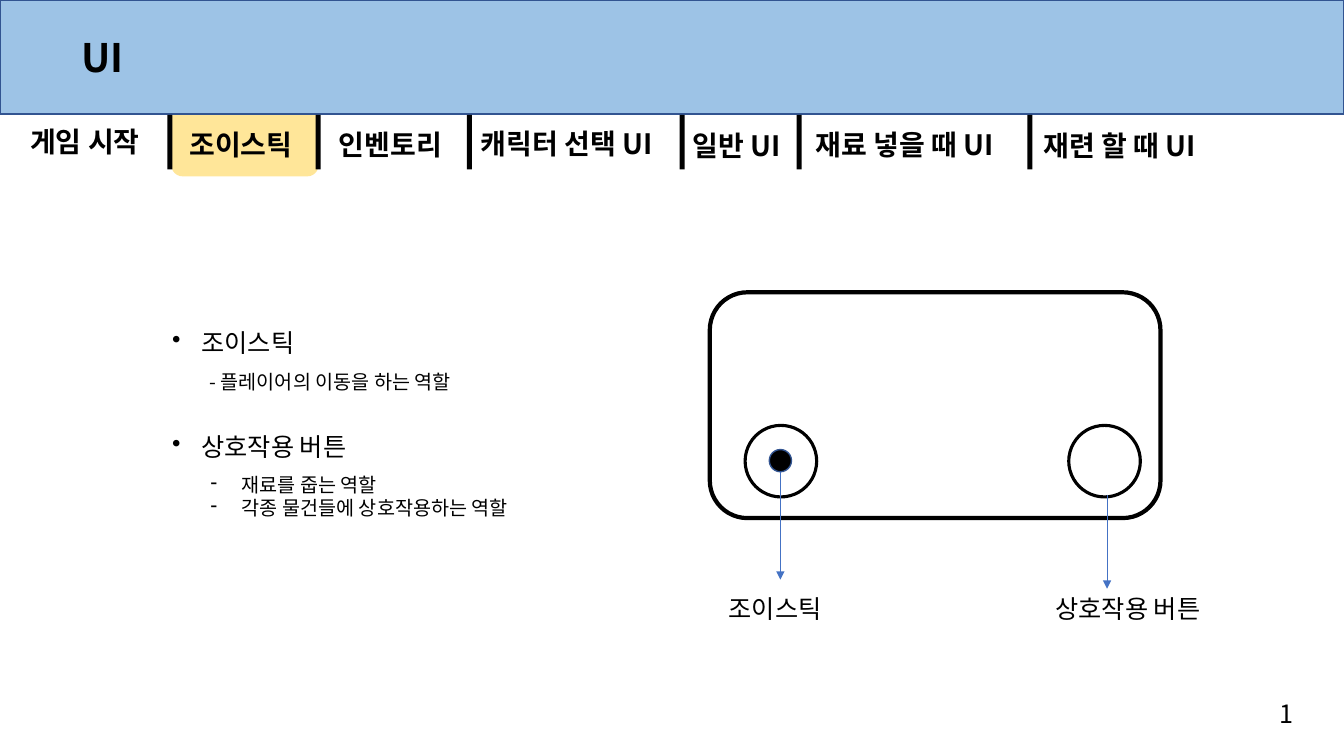
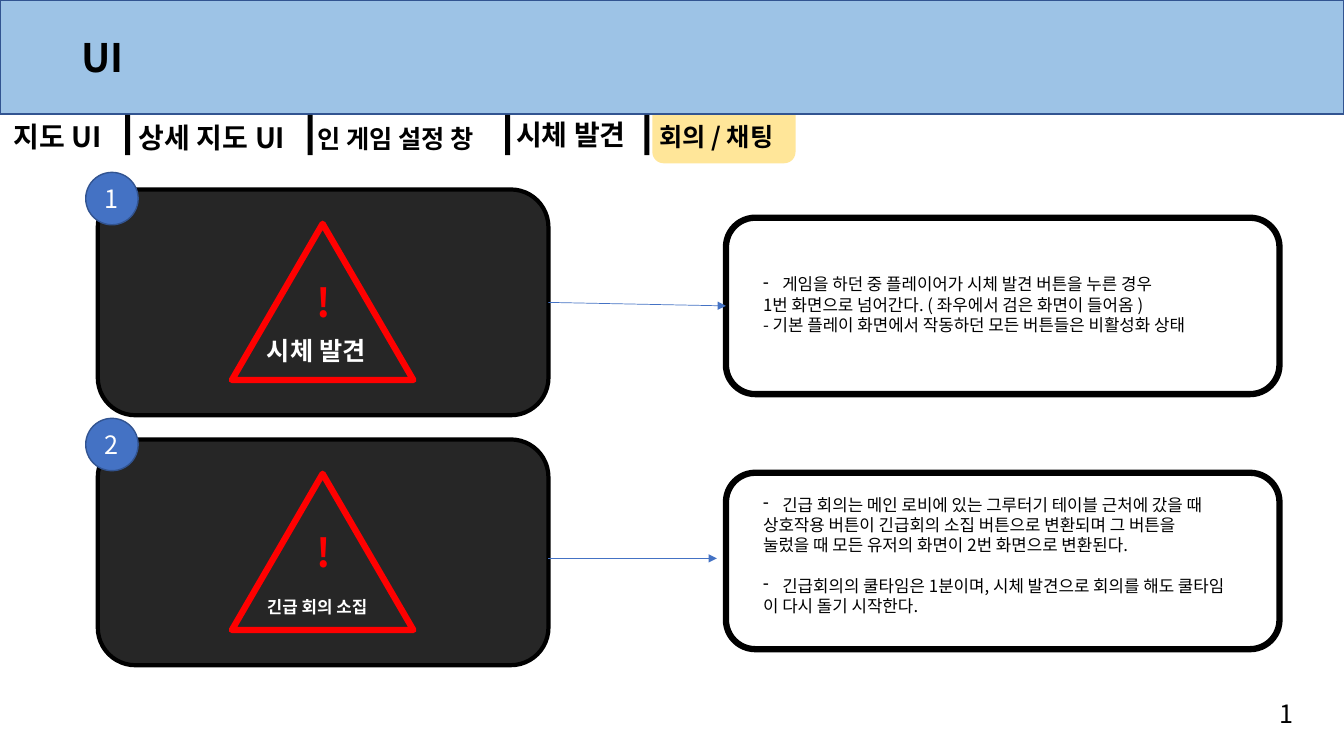
from lxml.etree import SubElement
from pptx import Presentation
from pptx.dml.color import RGBColor
from pptx.enum.shapes import MSO_CONNECTOR, MSO_SHAPE as Preset
from pptx.enum.text import MSO_ANCHOR, MSO_AUTO_SIZE, PP_ALIGN
from pptx.oxml.ns import qn
from pptx.util import Inches, Pt

FONT = "Noto Sans CJK KR"
BLACK = RGBColor(0x00, 0x00, 0x00)
WHITE = RGBColor(0xFF, 0xFF, 0xFF)
SKY = RGBColor(0x9D, 0xC3, 0xE6)
NAVY = RGBColor(0x32, 0x54, 0x91)
BLUE = RGBColor(0x44, 0x72, 0xC4)
YELLOW = RGBColor(0xFF, 0xE6, 0x99)
CHARCOAL = RGBColor(0x26, 0x26, 0x26)
RED = RGBColor(0xFF, 0x00, 0x00)

SLIDE_W, SLIDE_H, BAND_H = 13.33, 7.5, 1.13
DIVIDER_TOP, DIVIDER_W = 1.14, 0.05
SCREEN_W, SCREEN_H = 4.47, 2.24

CONTROL_MENU = {
    "tabs": [
        ("게임 시작", 0.2, 1.19, 1.42, 20, False),
        ("조이스틱", 1.78, 1.22, 1.33, 20, True),
        ("인벤토리", 3.26, 1.22, 1.32, 20, False),
        ("캐릭터 선택 UI", 4.67, 1.21, 2.09, 20, False),
        ("일반 UI", 6.77, 1.23, 1.15, 20, False),
        ("재료 넣을 때 UI", 7.99, 1.22, 2.19, 20, False),
        ("재련 할 때 UI", 10.25, 1.23, 1.91, 20, False),
    ],
    "dividers": [1.66, 3.13, 4.63, 6.74, 7.9, 10.19],
    "divider_h": 0.54,
    "highlight": (1.7, 1.08, 1.46, 0.67),
}
MEETING_MENU = {
    "tabs": [
        ("지도 UI", 0.04, 1.14, 1.15, 20, False),
        ("상세 지도 UI", 1.28, 1.15, 1.81, 20, False),
        ("인 게임 설정 창", 3.05, 1.17, 1.97, 18, True),
        ("시체 발견", 5.02, 1.12, 1.42, 20, False),
        ("회의 / 채팅", 6.44, 1.15, 1.6, 18, True),
    ],
    "dividers": [1.24, 3.05, 5.01, 6.39],
    "divider_h": 0.4,
    "highlight": (6.47, 0.95, 1.42, 0.67),
}

HEADINGS = [("조이스틱", 3.2, 1.5), ("상호작용 버튼", 4.23, 2.1)]
MOVE_ROLE = "- 플레이어의 이동을 하는 역할"
BUTTON_ROLES = ["재료를 줍는 역할", "각종 물건들에 상호작용하는 역할"]
CONTROL_LEFTS = [7.39, 10.6]
CALLOUTS = [
    ("조이스틱", 7.13, 1.21, 7.74, 4.68, 5.75),
    ("상호작용 버튼", 10.37, 1.81, 10.98, 4.91, 5.84),
]

BULLET, PLAIN, SPACED = "bullet", "plain", "spaced"
MEETINGS = [
    {
        "number": "1", "alert": "시체 발견", "alert_at": (3.28, 1.3, 18),
        "tops": {"screen": 1.88, "badge": 1.71, "note": 2.16, "text": 2.67},
        "text_w": 4.95,
        "lines": [
            (BULLET, "게임을 하던 중 플레이어가 시체 발견 버튼을 누른 경우"),
            (PLAIN, "1번 화면으로 넘어간다. ( 좌우에서 검은 화면이 들어옴 )"),
            (PLAIN, "- 기본 플레이 화면에서 작동하던 모든 버튼들은 비활성화 상태"),
        ],
        "arrow": None,
    },
    {
        "number": "2", "alert": "긴급 회의 소집", "alert_at": (5.87, 1.33, 12),
        "tops": {"screen": 4.36, "badge": 4.15, "note": 4.69, "text": 4.86},
        "text_w": 5.31,
        "lines": [
            (BULLET, "긴급 회의는 메인 로비에 있는 그루터기 테이블 근처에 갔을 때"),
            (PLAIN, "상호작용 버튼이 긴급회의 소집 버튼으로 변환되며 그 버튼을"),
            (PLAIN, "눌렀을 때 모든 유저의 화면이 2번 화면으로 변환된다."),
            (SPACED, "긴급회의의 쿨타임은 1분이며, 시체 발견으로 회의를 해도 쿨타임"),
            (PLAIN, "이 다시 돌기 시작한다."),
        ],
        "arrow": (5.44, 5.54, 7.11, 5.54),
    },
]


def style(paragraph, size, color=BLACK, bold=False):
    font = paragraph.font
    font.size, font.bold, font.name = Pt(size), bold, FONT
    font.color.rgb = color
    defaults = paragraph._p.get_or_add_pPr().find(qn("a:defRPr"))
    SubElement(defaults, qn("a:ea")).set("typeface", FONT)


def add_bullet(paragraph, char, indent):
    props = paragraph._p.get_or_add_pPr()
    props.set("marL", str(Inches(indent)))
    props.set("indent", str(-Inches(indent)))
    bullet = SubElement(props, qn("a:buChar"))
    bullet.set("char", char)
    props.insert(0, bullet)


def add_text(slide, lines, left, top, width, size, color=BLACK, bold=False, wrap=False):
    height = 0.1 + len(lines) * size / 60
    box = slide.shapes.add_textbox(Inches(left), Inches(top), Inches(width), Inches(height))
    frame = box.text_frame
    frame.word_wrap = wrap
    frame.auto_size = MSO_AUTO_SIZE.SHAPE_TO_FIT_TEXT
    for index, line in enumerate(lines):
        paragraph = frame.paragraphs[0] if index == 0 else frame.add_paragraph()
        paragraph.text = line
        style(paragraph, size, color, bold)
    return frame.paragraphs


def add_box(slide, preset, left, top, width, height, fill=None, line=None, weight=1):
    box = slide.shapes.add_shape(preset, Inches(left), Inches(top), Inches(width), Inches(height))
    box.shadow.inherit = False
    if fill is None:
        box.fill.background()
    else:
        box.fill.solid()
        box.fill.fore_color.rgb = fill
    if line is None:
        box.line.fill.background()
    else:
        box.line.color.rgb = line
        box.line.width = Pt(weight)
    return box


def add_arrow(slide, x1, y1, x2, y2):
    arrow = slide.shapes.add_connector(
        MSO_CONNECTOR.STRAIGHT, Inches(x1), Inches(y1), Inches(x2), Inches(y2))
    arrow.line.color.rgb = BLUE
    arrow.line.width = Pt(0.5)
    SubElement(arrow.line._get_or_add_ln(), qn("a:tailEnd")).set("type", "triangle")
    SubElement(arrow._element.spPr, qn("a:effectLst"))
    return arrow


def start_slide(prs, menu):
    slide = prs.slides.add_slide(prs.slide_layouts[6])
    add_box(slide, Preset.FLOWCHART_ALTERNATE_PROCESS, *menu["highlight"], YELLOW)
    add_box(slide, Preset.RECTANGLE, 0, 0, SLIDE_W, BAND_H, SKY, NAVY)
    add_text(slide, ["UI"], 0.71, 0.28, 4.63, 28, bold=True, wrap=True)
    for label, left, top, width, size, wrap in menu["tabs"]:
        add_text(slide, [label], left, top, width, size, bold=True, wrap=wrap)
    for left in menu["dividers"]:
        add_box(slide, Preset.RECTANGLE, left, DIVIDER_TOP, DIVIDER_W, menu["divider_h"], BLACK)
    add_text(slide, ["1"], 12.59, 6.88, 0.34, 18)
    return slide


def build_controls(prs):
    slide = start_slide(prs, CONTROL_MENU)
    add_box(slide, Preset.ROUNDED_RECTANGLE, 7.04, 2.9, SCREEN_W, SCREEN_H, WHITE, BLACK, 3)
    for left in CONTROL_LEFTS:
        add_box(slide, Preset.OVAL, left, 4.22, 0.71, 0.71, None, BLACK, 2.25)
    add_box(slide, Preset.OVAL, 7.63, 4.46, 0.22, 0.22, BLACK, NAVY)
    for label, left, width, x, start, end in CALLOUTS:
        add_arrow(slide, x, start, x, end)
        add_text(slide, [label], left, 5.84, width, 18)
    for heading, top, width in HEADINGS:
        add_bullet(add_text(slide, [heading], 1.61, top, width, 18)[0], "•", 0.29)
    add_text(slide, [MOVE_ROLE], 1.98, 3.62, 2.91, 14)
    for paragraph in add_text(slide, BUTTON_ROLES, 1.99, 4.64, 3.47, 14):
        add_bullet(paragraph, "-", 0.31)


def add_meeting(slide, meeting):
    tops = meeting["tops"]
    screen = add_box(slide, Preset.ROUNDED_RECTANGLE, 0.97, tops["screen"],
                     SCREEN_W, SCREEN_H, CHARCOAL, BLACK, 3)
    add_text(slide, ["!"], 3.04, tops["screen"] + 0.83, 0.33, 28, RED, True)
    top, width, size = meeting["alert_at"]
    add_text(slide, [meeting["alert"]], 2.55, top, width, size, WHITE, True)
    add_box(slide, Preset.ISOSCELES_TRIANGLE, 2.3, tops["screen"] + 0.34, 1.8, 1.55, None, RED, 4.5)
    note = add_box(slide, Preset.ROUNDED_RECTANGLE, 7.2, tops["note"], 5.49, 1.75, None, BLACK, 4.5)
    if meeting["arrow"]:
        add_arrow(slide, *meeting["arrow"])
    else:
        arrow = add_arrow(slide, 5.44, 2.99, 7.2, 3.03)
        arrow.begin_connect(screen, 3)
        arrow.end_connect(note, 1)
    badge = add_box(slide, Preset.OVAL, 0.85, tops["badge"], 0.52, 0.52, BLUE, NAVY)
    badge.text_frame.vertical_anchor = MSO_ANCHOR.MIDDLE
    number = badge.text_frame.paragraphs[0]
    number.text = meeting["number"]
    number.alignment = PP_ALIGN.CENTER
    style(number, 18, WHITE)
    paragraphs = add_text(slide, [line for _, line in meeting["lines"]],
                          7.47, tops["text"], meeting["text_w"], 12)
    for paragraph, (kind, _) in zip(paragraphs, meeting["lines"]):
        if kind != PLAIN:
            add_bullet(paragraph, "-", 0.19)
        if kind == SPACED:
            paragraph.space_before = Pt(14.5)


def build_meetings(prs):
    slide = start_slide(prs, MEETING_MENU)
    for meeting in MEETINGS:
        add_meeting(slide, meeting)


def main():
    prs = Presentation()
    prs.slide_width, prs.slide_height = Inches(SLIDE_W), Inches(SLIDE_H)
    build_controls(prs)
    build_meetings(prs)
    prs.save("out.pptx")


if __name__ == "__main__":
    main()
